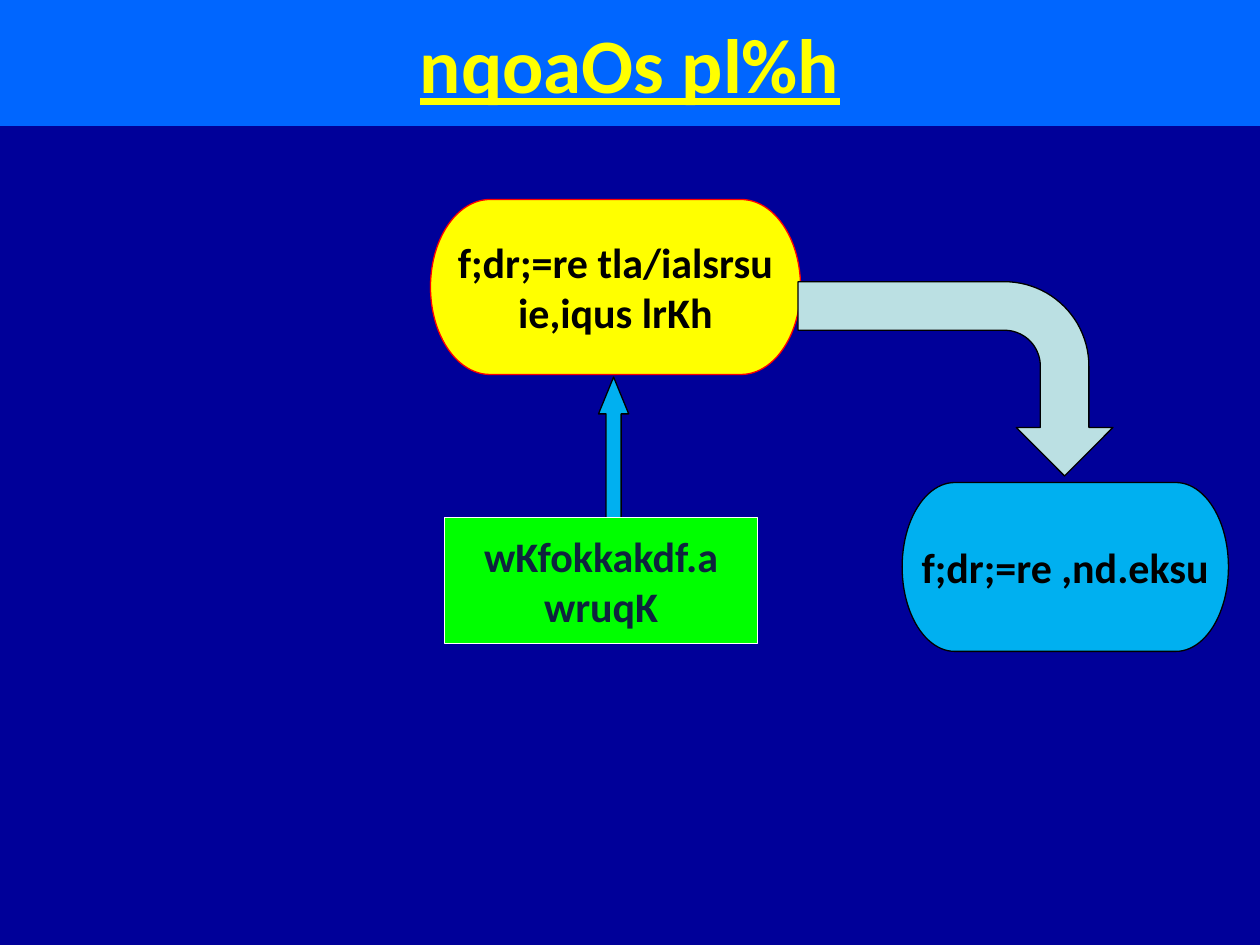
from dataclasses import dataclass
from math import cos, radians, sin

from pptx import Presentation
from pptx.dml.color import RGBColor
from pptx.enum.shapes import MSO_SHAPE
from pptx.enum.text import MSO_ANCHOR, PP_ALIGN
from pptx.util import Pt

BAND = MSO_SHAPE.RECTANGLE
PROCESS = MSO_SHAPE.FLOWCHART_PROCESS
TERMINATOR = MSO_SHAPE.FLOWCHART_TERMINATOR
UP_ARROW = MSO_SHAPE.UP_ARROW
CENTER = PP_ALIGN.CENTER
MIDDLE = MSO_ANCHOR.MIDDLE


@dataclass(frozen=True)
class Theme:
    font: str = "Calibri"
    title_size: int = 44
    body_size: int = 24
    line_width: float = 0.75
    navy: str = "000099"
    blue: str = "0066FF"
    sky: str = "00B0F0"
    pale: str = "BBE0E3"
    yellow: str = "FFFF00"
    green: str = "00FF00"
    red: str = "FF0000"
    ink: str = "0F243E"
    black: str = "000000"
    white: str = "FFFFFF"


class SlideBuilder:
    def __init__(self, slide, theme):
        self.slide = slide
        self.theme = theme

    def background(self, color):
        fill = self.slide.background.fill
        fill.solid()
        fill.fore_color.rgb = RGBColor.from_string(color)

    def paint(self, shape, fill, line):
        shape.shadow.inherit = False
        shape.fill.solid()
        shape.fill.fore_color.rgb = RGBColor.from_string(fill)
        if line is None:
            shape.line.fill.background()
        else:
            shape.line.color.rgb = RGBColor.from_string(line)
            shape.line.width = Pt(self.theme.line_width)

    def block(self, kind, box, fill, line=None):
        shape = self.slide.shapes.add_shape(kind, *(Pt(v) for v in box))
        self.paint(shape, fill, line)
        return shape

    def label(self, shape, text, color, size, margins=(7.2, 3.6), after=10, underline=None):
        frame = shape.text_frame
        frame.text = text
        frame.word_wrap = True
        frame.vertical_anchor = MIDDLE
        frame.margin_left = frame.margin_right = Pt(margins[0])
        frame.margin_top = frame.margin_bottom = Pt(margins[1])
        paragraph = frame.paragraphs[0]
        paragraph.alignment = CENTER
        paragraph.space_after = Pt(after)
        font = paragraph.runs[0].font
        font.name = self.theme.font
        font.size = Pt(size)
        font.bold = True
        font.underline = underline
        font.color.rgb = RGBColor.from_string(color)

    def outline(self, points, fill, line):
        # Hundredths of a point keep the curve smooth
        scaled = [(x * 100, y * 100) for x, y in points]
        builder = self.slide.shapes.build_freeform(*scaled[0], scale=Pt(1) / 100)
        builder.add_line_segments(scaled[1:], close=True)
        self.paint(builder.convert_to_shape(), fill, line)


def arc(center, radius, start, end, steps=24):
    angles = (radians(start + (end - start) * i / steps) for i in range(steps + 1))
    return [(center[0] + radius * cos(a), center[1] + radius * sin(a)) for a in angles]


def bent_arrow(left, top, bend, band, outer, neck, head, tip):
    """Band running right, turning down at bend, ending in a head."""
    center = (bend, top + outer)
    inner = outer - band
    axis = bend + outer - band / 2
    return [
        (left, top),
        *arc(center, outer, -90, 0),
        (bend + outer, neck),
        (axis + head / 2, neck),
        (axis, tip),
        (axis - head / 2, neck),
        (bend + inner, neck),
        *arc(center, inner, 0, -90),
        (left, top + band),
    ]


def main():
    theme = Theme()
    deck = Presentation()
    deck.slide_width, deck.slide_height = Pt(720), Pt(540)
    page = SlideBuilder(deck.slides.add_slide(deck.slide_layouts[6]), theme)
    page.background(theme.navy)

    # Upper and right-hand stages
    upper_stage = page.block(TERMINATOR, (246, 114, 211.5, 100), theme.yellow, theme.red)
    page.label(upper_stage, "f;dr;=re tla/ialsrsu ie,iqus lrKh", theme.black,
               theme.body_size, margins=(0, 0))
    right_stage = page.block(TERMINATOR, (515.5, 275.75, 186.5, 96.5), theme.sky, theme.black)
    page.label(right_stage, "f;dr;=re ,nd.eksu", theme.black,
               theme.body_size, margins=(0, 0))

    # Source box and the arrow rising from it
    rising_arrow = page.block(UP_ARROW, (342, 215.5, 17.25, 96.5), theme.sky, theme.black)
    rising_arrow.adjustments[0] = 0.5
    rising_arrow.adjustments[1] = 1.22
    source_box = page.block(PROCESS, (254, 295.75, 179, 72), theme.green, theme.white)
    page.label(source_box, "wKfokkakdf.a wruqK", theme.ink, theme.body_size)

    # Title band
    title_band = page.block(BAND, (0, 0, 720, 72), theme.blue)
    page.label(title_band, "nqoaOs pl%h", theme.yellow, theme.title_size,
               after=0, underline=True)

    # Bent arrow between the two stages
    turn = bent_arrow(left=456, top=161, bend=574, band=27.75, outer=48.25,
                      neck=244.25, head=55.25, tip=272)
    page.outline(turn, theme.pale, theme.black)

    deck.save("out.pptx")


if __name__ == "__main__":
    main()
